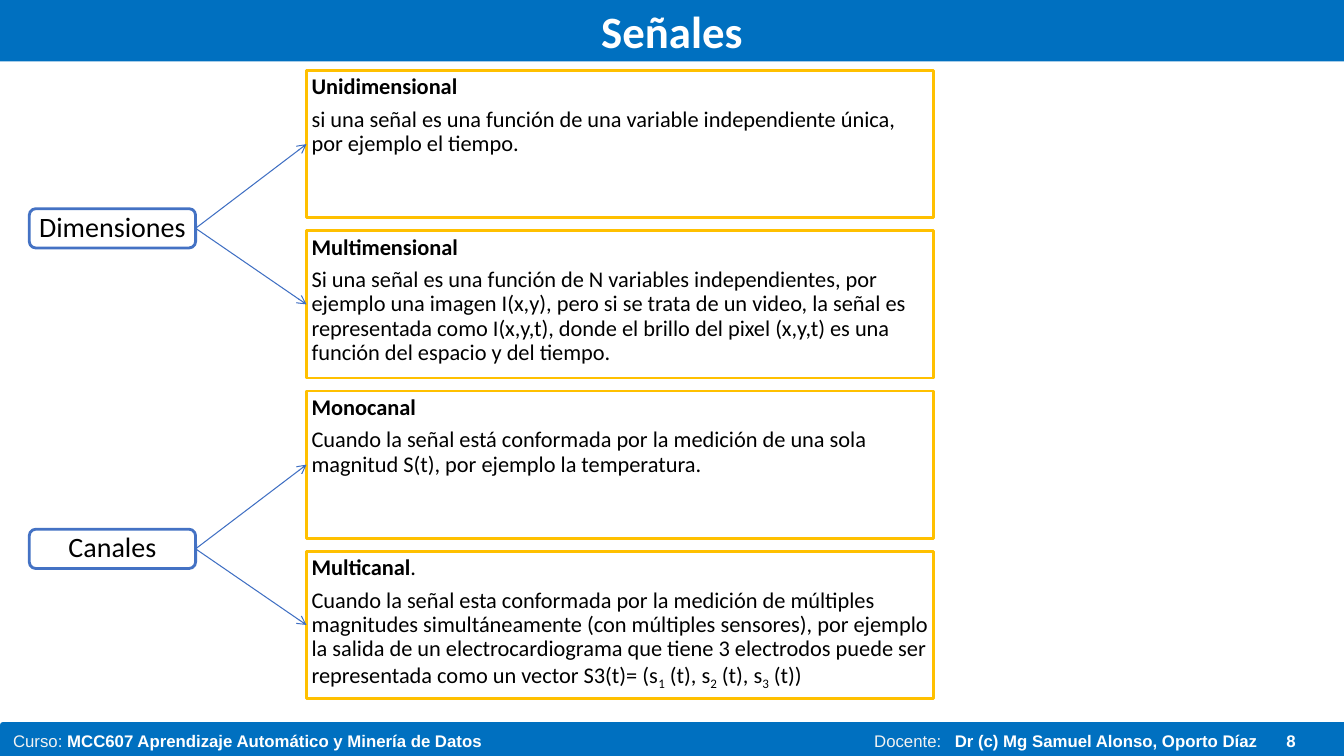
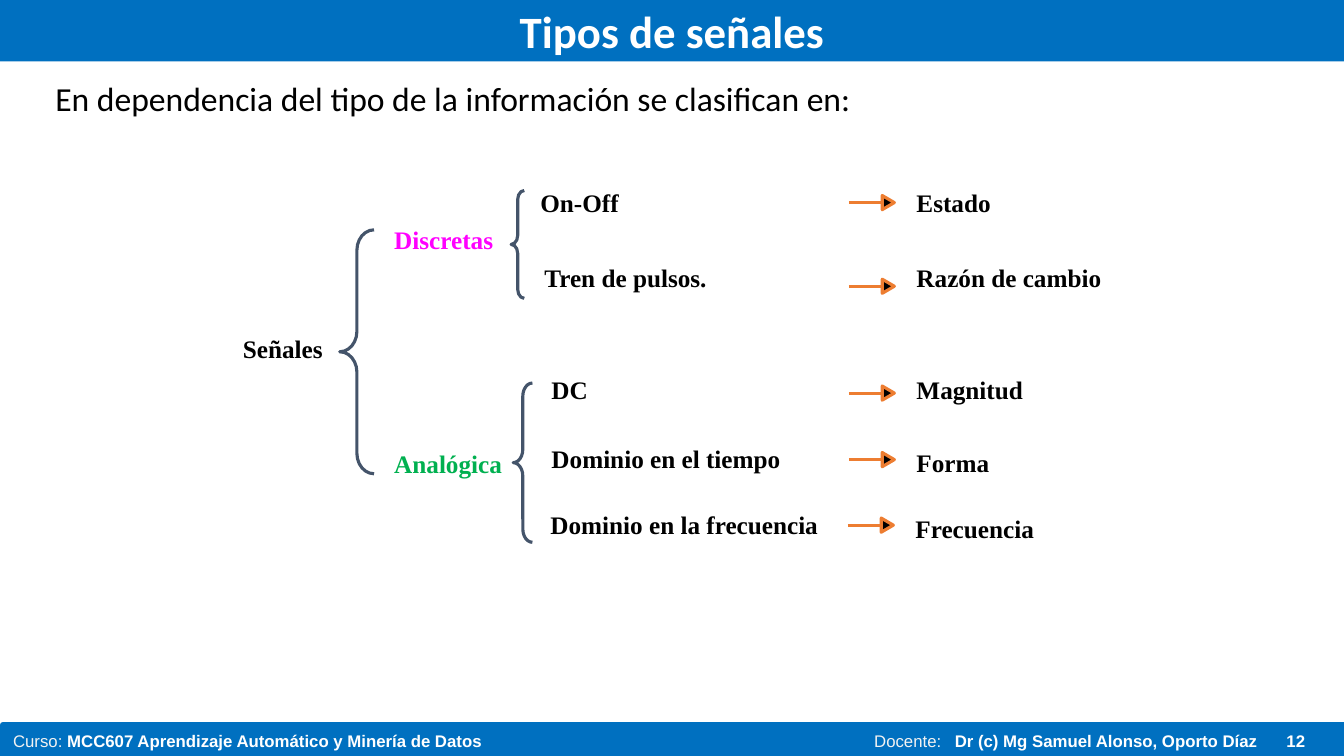
from dataclasses import dataclass

from lxml.etree import SubElement
from pptx import Presentation
from pptx.dml.color import RGBColor
from pptx.enum.shapes import MSO_CONNECTOR, MSO_SHAPE
from pptx.enum.text import MSO_ANCHOR, PP_ALIGN
from pptx.oxml.ns import qn
from pptx.util import Pt

PX = 9144  # EMU in one px, 100 px to the inch
PAGE_WIDTH, PAGE_HEIGHT = 1333, 750
LEFT_SITE, RIGHT_SITE = 1, 3

WHITE = RGBColor(0xFF, 0xFF, 0xFF)
BLACK = RGBColor(0x00, 0x00, 0x00)
PALE = RGBColor(0xF2, 0xF2, 0xF2)
BAND_BLUE = RGBColor(0x00, 0x70, 0xC0)
TOPIC_BLUE = RGBColor(0x44, 0x72, 0xC4)
LINK_BLUE = RGBColor(0x3F, 0x6F, 0xC3)
GOLD = RGBColor(0xFF, 0xC0, 0x00)
SLATE = RGBColor(0x44, 0x54, 0x6A)
ORANGE = RGBColor(0xED, 0x7D, 0x31)
MAGENTA = RGBColor(0xFF, 0x00, 0xFF)
GREEN = RGBColor(0x00, 0xB0, 0x50)


@dataclass
class Span:
    text: str
    bold: bool = False
    color: RGBColor | None = None
    subscript: bool = False


@dataclass
class Style:
    font: str
    size: int
    color: RGBColor = BLACK
    bold: bool | None = None
    align: PP_ALIGN = PP_ALIGN.LEFT
    line_spacing: float = 1.0
    space_after: int = 0


TITLE = Style("Calibri", 32, WHITE, True, PP_ALIGN.CENTER)
FOOTER = Style("Arial", 12, WHITE)
TOPIC = Style("Calibri", 20, align=PP_ALIGN.CENTER, line_spacing=0.9)
CARD = Style("Calibri", 16, line_spacing=0.9, space_after=6)
BODY = Style("Calibri", 24)

CARDS = [
    ([Span("Unidimensional", True)],
     [Span("si una señal es una función de una variable independiente única, "
           "por ejemplo el tiempo.")]),
    ([Span("Multimensional", True)],
     [Span("Si una señal es una función de N variables independientes, por ejemplo "
           "una imagen I(x,y), pero si se trata de un video, la señal es representada "
           "como I(x,y,t), donde el brillo del pixel (x,y,t) es una función del "
           "espacio y del tiempo.")]),
    ([Span("Monocanal", True)],
     [Span("Cuando la señal está conformada por la medición de una sola magnitud "
           "S(t), por ejemplo la temperatura.")]),
    ([Span("Multicanal", True), Span(".")],
     [Span("Cuando la señal esta conformada por la medición de múltiples magnitudes "
           "simultáneamente (con múltiples sensores), por ejemplo la salida de un "
           "electrocardiograma que tiene 3 electrodos puede ser representada como un "
           "vector S3(t)= (s"),
      Span("1", subscript=True), Span(" (t), s"),
      Span("2", subscript=True), Span(" (t), s"),
      Span("3", subscript=True), Span(" (t))")]),
]

# signal, left, top, arrow left, arrow height, measure, left, top
SIGNALS = [
    ("On-Off", 536, 186, 842, 201, "Estado", 909, 186),
    ("Tren de pulsos.", 540, 260, 842, 284, "Razón de cambio", 909, 260),
    ("DC", 547, 371, 842, 390, "Magnitud", 909, 371),
    ("Dominio en el tiempo", 547, 440, 842, 456, "Forma", 909, 444),
    ("Dominio en la frecuencia", 546, 505, 841, 521, "Frecuencia", 908, 509),
]
BRACES = [(337, 228, 34, 242), (509, 380, 19, 158), (507, 189, 13, 107)]


def scaled(*lengths):
    return [length * PX for length in lengths]


def write(box, paragraphs, style, inset=(10, 5), anchor=MSO_ANCHOR.TOP):
    """Fill a shape with paragraphs, each a list of spans."""
    frame = box.text_frame
    frame.word_wrap = True
    frame.vertical_anchor = anchor
    frame.margin_left = frame.margin_right = inset[0] * PX
    frame.margin_top = frame.margin_bottom = inset[1] * PX
    for index, spans in enumerate(paragraphs):
        paragraph = frame.add_paragraph() if index else frame.paragraphs[0]
        paragraph.alignment = style.align
        paragraph.line_spacing = style.line_spacing
        paragraph.space_after = Pt(style.space_after)
        paragraph.font.name = style.font
        paragraph.font.size = Pt(style.size)
        paragraph.font.color.rgb = style.color
        paragraph.font.bold = style.bold
        for span in spans:
            run = paragraph.add_run()
            run.text = span.text
            if style.bold is None:
                run.font.bold = span.bold
            if span.color is not None:
                run.font.color.rgb = span.color
            if span.subscript:
                run.font._element.set("baseline", "-25000")


def paint(shape, fill=None, line=None, weight=1.0):
    shape.shadow.inherit = False
    if fill is None:
        shape.fill.background()
    else:
        shape.fill.solid()
        shape.fill.fore_color.rgb = fill
    if line is None:
        shape.line.fill.background()
    else:
        shape.line.color.rgb = line
        shape.line.width = Pt(weight)


def add_preset(page, preset, bounds, fill=None, line=None, weight=1.0):
    shape = page.shapes.add_shape(preset, *scaled(*bounds))
    paint(shape, fill, line, weight)
    return shape


def add_text(page, bounds, spans, style, **layout):
    box = page.shapes.add_textbox(*scaled(*bounds))
    write(box, [spans], style, **layout)


def add_line(page, start, end, color, weight):
    line = page.shapes.add_connector(MSO_CONNECTOR.STRAIGHT, *scaled(*start, *end))
    line.line.color.rgb = color
    line.line.width = Pt(weight)
    SubElement(line._element.spPr, qn("a:effectLst"))
    return line


def link(page, topic, card):
    arrow = add_line(page, (0, 0), (0, 0), LINK_BLUE, 0.75)
    arrow.begin_connect(topic, RIGHT_SITE)
    arrow.end_connect(card, LEFT_SITE)
    SubElement(arrow.line._get_or_add_ln(), qn("a:tailEnd"), type="arrow")


def add_block_arrow(page, left, middle):
    """Draw an orange line that ends in a black triangle."""
    add_line(page, (left, middle), (left + 35, middle), ORANGE, 2.25)
    base = left + 33
    builder = page.shapes.build_freeform(base, middle + 7, scale=PX)
    builder.add_line_segments([(base + 12, middle), (base, middle - 7)], close=True)
    paint(builder.convert_to_shape(), BLACK, ORANGE, 2.25)


def add_brace(page, bounds):
    width, height = bounds[2:]
    brace = add_preset(page, MSO_SHAPE.LEFT_BRACE, bounds, line=SLATE, weight=2.25)
    brace.adjustments[0] = height / 12 / width


def add_label(page, text, left, top, width, color=BLACK):
    style = Style("Times New Roman", 18, color, True)
    add_text(page, (left, top, width, 30), [Span(text)], style, inset=(0, 0))


def add_page(deck, title, number):
    """Add a blank slide with the title band and the footer."""
    page = deck.slides.add_slide(deck.slide_layouts[6])
    add_preset(page, MSO_SHAPE.RECTANGLE, (3, 719, 1331, 31), BAND_BLUE, BAND_BLUE, 4.5)
    footer_items = [
        (13, 600, [Span("Curso: ", color=PALE),
                   Span("MCC607 Aprendizaje Automático y Minería de Datos", True)]),
        (867, 75, [Span("Docente:", color=PALE)]),
        (947, 320, [Span("Dr (c) Mg Samuel Alonso, Oporto Díaz", True)]),
        (1276, 40, [Span(str(number), True)]),
    ]
    for left, width, spans in footer_items:
        add_text(page, (left, 719, width, 31), spans, FOOTER,
                 inset=(0, 0), anchor=MSO_ANCHOR.MIDDLE)
    band = add_preset(page, MSO_SHAPE.RECTANGLE, (0, 0, PAGE_WIDTH, 61), BAND_BLUE)
    write(band, [[Span(title)]], TITLE, anchor=MSO_ANCHOR.MIDDLE)
    return page


def build_signals(deck):
    page = add_page(deck, "Señales", 8)
    step = 159
    cards = []
    for index, paragraphs in enumerate(CARDS):
        card = add_preset(page, MSO_SHAPE.RECTANGLE, (304, 70 + index * step, 622, 146),
                          WHITE, GOLD, 2)
        write(card, paragraphs, CARD, inset=(5, 5))
        cards.append(card)
    for index, name in enumerate(["Dimensiones", "Canales"]):
        topic = add_preset(page, MSO_SHAPE.ROUNDED_RECTANGLE,
                           (29, 207 + index * 2 * step, 165, 39), WHITE, TOPIC_BLUE, 2)
        write(topic, [[Span(name)]], TOPIC, inset=(5, 5), anchor=MSO_ANCHOR.MIDDLE)
        for card in cards[2 * index:2 * index + 2]:
            link(page, topic, card)


def build_signal_types(deck):
    page = add_page(deck, "Tipos de señales", 12)
    add_text(page, (45, 72, 1244, 50),
             [Span("En dependencia del tipo de la información se clasifican en:")], BODY)
    add_label(page, "Señales", 241, 331, 90)
    add_label(page, "Discretas", 391, 223, 115, MAGENTA)
    add_label(page, "Analógica", 391, 445, 115, GREEN)
    for bounds in BRACES:
        add_brace(page, bounds)
    for signal, left, top, arrow_left, middle, measure, measure_left, measure_top in SIGNALS:
        add_label(page, signal, left, top, 290)
        add_block_arrow(page, arrow_left, middle)
        add_label(page, measure, measure_left, measure_top, 220)


def main():
    deck = Presentation()
    deck.slide_width, deck.slide_height = scaled(PAGE_WIDTH, PAGE_HEIGHT)
    build_signals(deck)
    build_signal_types(deck)
    deck.save("out.pptx")


if __name__ == "__main__":
    main()
